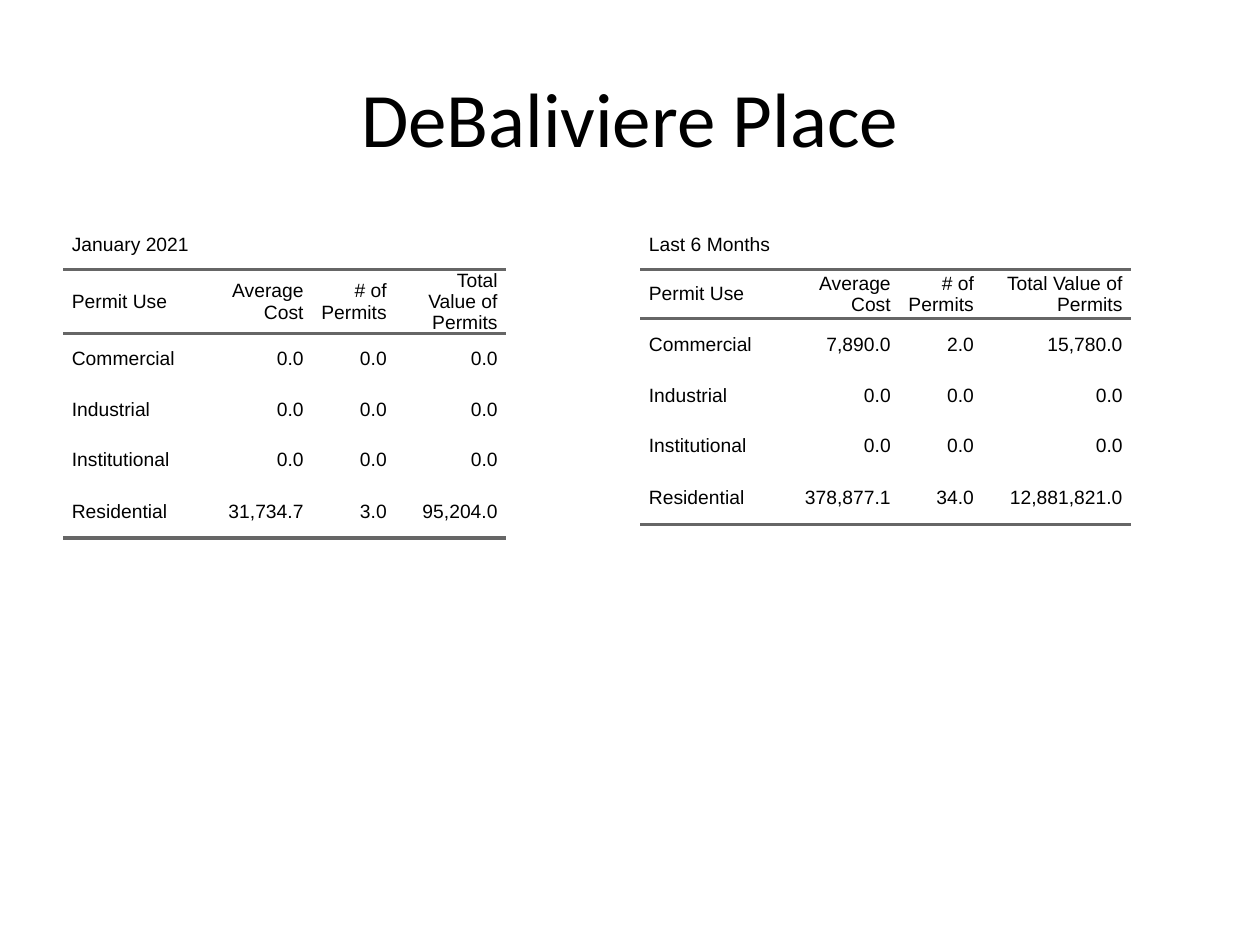
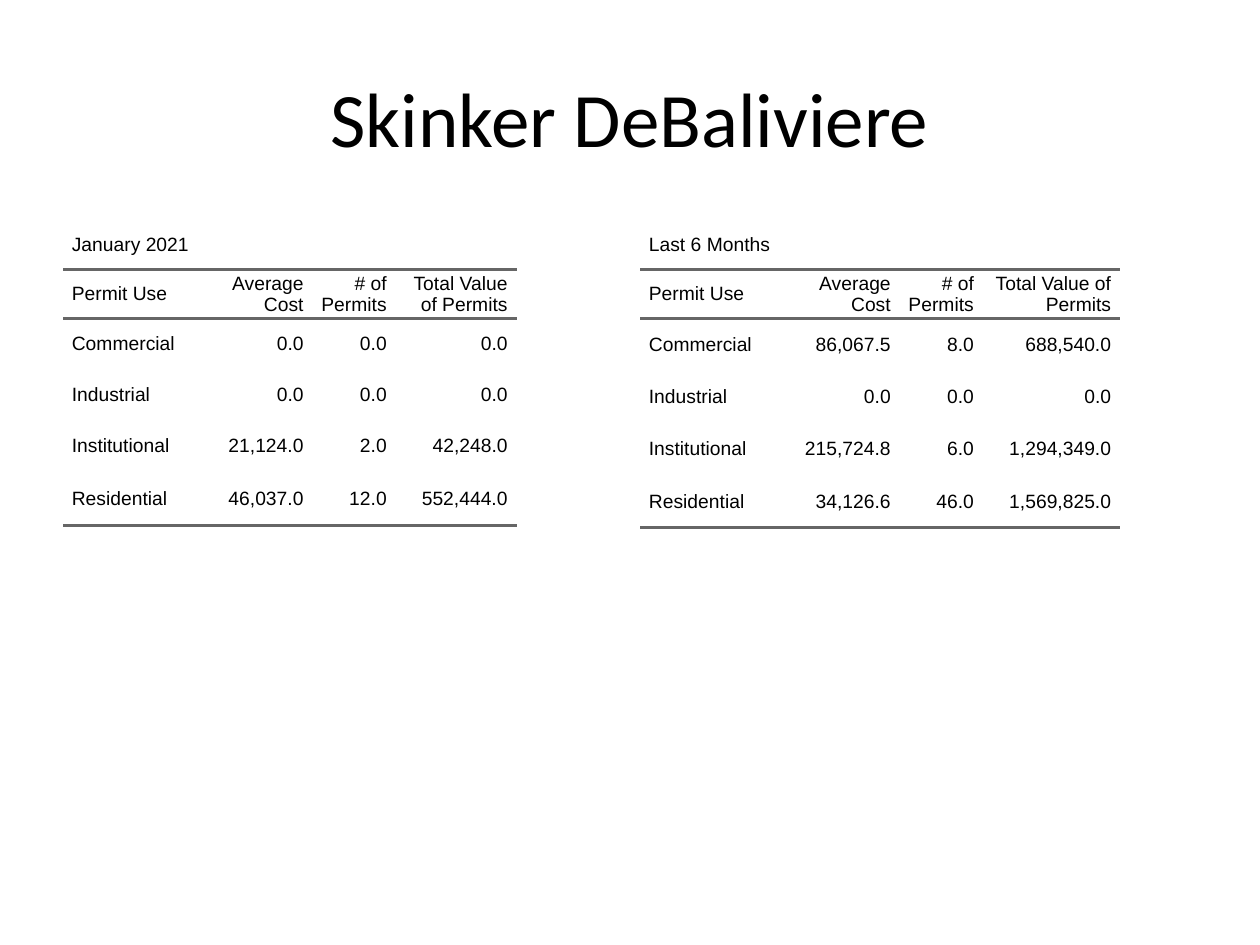
"""Builds two slides of building permit tables, one per neighborhood."""
from pptx import Presentation
from pptx.dml.color import RGBColor
from pptx.enum.text import MSO_ANCHOR as Anchor, PP_ALIGN as Align
from pptx.oxml import parse_xml
from pptx.oxml.ns import nsdecls
from pptx.util import Inches, Pt

COLORS = {"text": "000000", "rule": "666666"}
PLAIN_TABLE_STYLE = "{2D5ABB26-0587-4C30-8999-92F81FD0307C}"
HEADERS = ["Permit Use", "Average Cost", "# of Permits", "Total Value of Permits"]
USES = ["Commercial", "Industrial", "Institutional", "Residential"]
NO_PERMITS = ["0.0", "0.0", "0.0"]
JANUARY = ("January 2021", 0.5, 0.88)
HALF_YEAR = ("Last 6 Months", 5.08, 0.96)

NEIGHBORHOODS = {
    "DeBaliviere Place": [
        (JANUARY, 0.88, [0.4, 0.4, 0.4, 0.42],
         [NO_PERMITS, NO_PERMITS, NO_PERMITS, ["31,734.7", "3.0", "95,204.0"]]),
        (HALF_YEAR, 1.18, [0.41, 0.4, 0.4, 0.42],
         [["7,890.0", "2.0", "15,780.0"], NO_PERMITS, NO_PERMITS,
          ["378,877.1", "34.0", "12,881,821.0"]]),
    ],
    "Skinker DeBaliviere": [
        (JANUARY, 0.96, [0.4, 0.4, 0.42, 0.42],
         [NO_PERMITS, NO_PERMITS, ["21,124.0", "2.0", "42,248.0"],
          ["46,037.0", "12.0", "552,444.0"]]),
        (HALF_YEAR, 1.09, [0.42, 0.4, 0.42, 0.42],
         [["86,067.5", "8.0", "688,540.0"], NO_PERMITS,
          ["215,724.8", "6.0", "1,294,349.0"], ["34,126.6", "46.0", "1,569,825.0"]]),
    ],
}


class PermitDeck:
    """Holds the deck style and the current slide."""

    def __init__(self):
        self.presentation = Presentation()
        self.presentation.slide_width = Inches(10)
        self.presentation.slide_height = Inches(7.5)
        self.slide = None

    def style_text(self, paragraph, font_name, size, alignment):
        paragraph.alignment = alignment
        for run in paragraph.runs:
            run.font.name = font_name
            run.font.size = Pt(size)
            run.font.color.rgb = RGBColor.from_string(COLORS["text"])

    def add_slide(self, title_text):
        layout = self.presentation.slide_layouts[5]
        self.slide = self.presentation.slides.add_slide(layout)
        title = self.slide.shapes.title
        title.left, title.top = Inches(0.5), Inches(0.3)
        title.width, title.height = Inches(9), Inches(1.25)
        title.text_frame.text = title_text
        title.text_frame.vertical_anchor = Anchor.MIDDLE
        self.style_text(title.text_frame.paragraphs[0], "Calibri", 44, Align.CENTER)

    def add_rule(self, cell, side):
        cell_properties = cell._tc.get_or_add_tcPr()
        cell_properties.append(parse_xml(
            f'<a:ln{side} {nsdecls("a")} w="{Pt(2)}"><a:solidFill>'
            f'<a:srgbClr val="{COLORS["rule"]}"/></a:solidFill></a:ln{side}>'))

    def fill_cell(self, cell, text, alignment, rule_sides):
        cell.margin_left = cell.margin_right = 0
        cell.margin_top = cell.margin_bottom = 0
        cell.vertical_anchor = Anchor.MIDDLE
        for side in rule_sides:
            self.add_rule(cell, side)
        cell.fill.background()
        if text:
            cell.text_frame.text = text
            paragraph = cell.text_frame.paragraphs[0]
            paragraph_properties = paragraph._p.get_or_add_pPr()
            for margin in ("marL", "marR"):
                paragraph_properties.set(margin, str(Inches(0.07)))
            paragraph_properties.set("indent", "0")
            self.style_text(paragraph, "Arial", 11, alignment)

    def add_permit_table(self, period, total_width, use_heights, values):
        caption, left, cost_width = period
        rows = [[caption, "", "", ""], HEADERS]
        rows += [[use, *numbers] for use, numbers in zip(USES, values)]
        frame = self.slide.shapes.add_table(
            len(rows), len(HEADERS), Inches(left), Inches(1.75), Inches(4.42), Inches(4.95))
        table = frame.table
        table.first_row = table.horz_banding = False
        table._tbl.tblPr[0].text = PLAIN_TABLE_STYLE
        for column, width in zip(table.columns, [1.1, cost_width, 0.66, total_width]):
            column.width = Inches(width)
        for row, height in zip(table.rows, [0.39, 0.39, *use_heights]):
            row.height = Inches(height)
        frame.width, frame.height = Inches(4.42), Inches(4.95)
        table.cell(0, 0).merge(table.cell(0, len(HEADERS) - 1))
        rules = {1: "TB", len(rows) - 1: "B"}
        for row_index, texts in enumerate(rows):
            for column_index, text in enumerate(texts):
                alignment = Align.RIGHT if column_index else Align.LEFT
                self.fill_cell(table.cell(row_index, column_index), text, alignment,
                               rules.get(row_index, ""))


def main():
    deck = PermitDeck()
    for neighborhood, tables in NEIGHBORHOODS.items():
        deck.add_slide(neighborhood)
        for table in tables:
            deck.add_permit_table(*table)
    deck.presentation.save("out.pptx")


if __name__ == "__main__":
    main()
